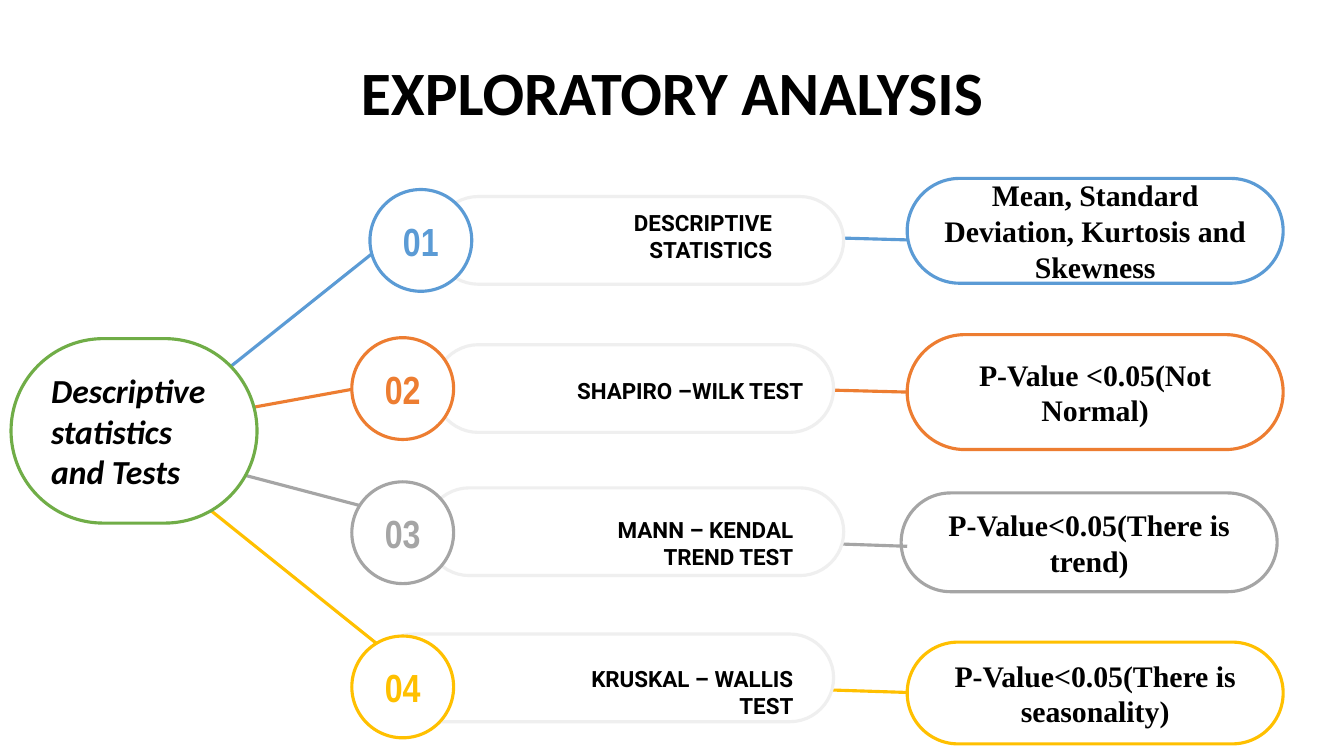
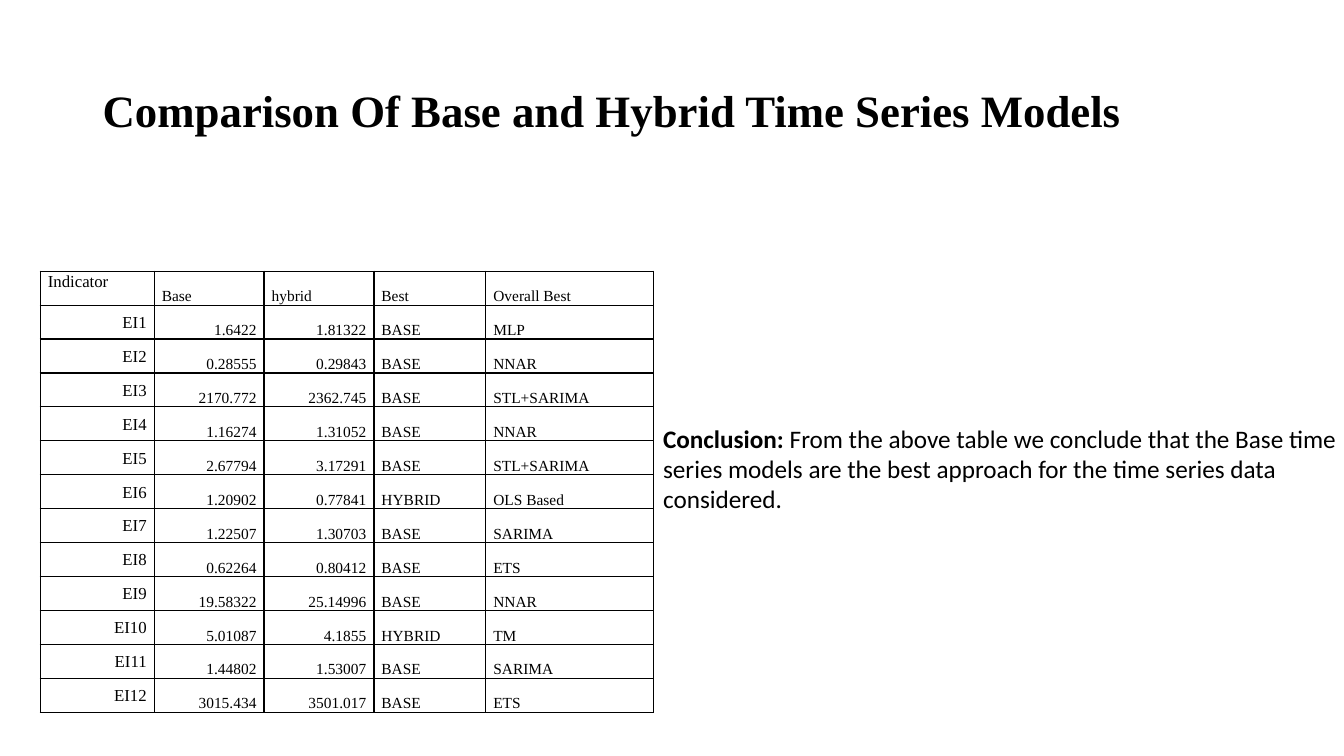
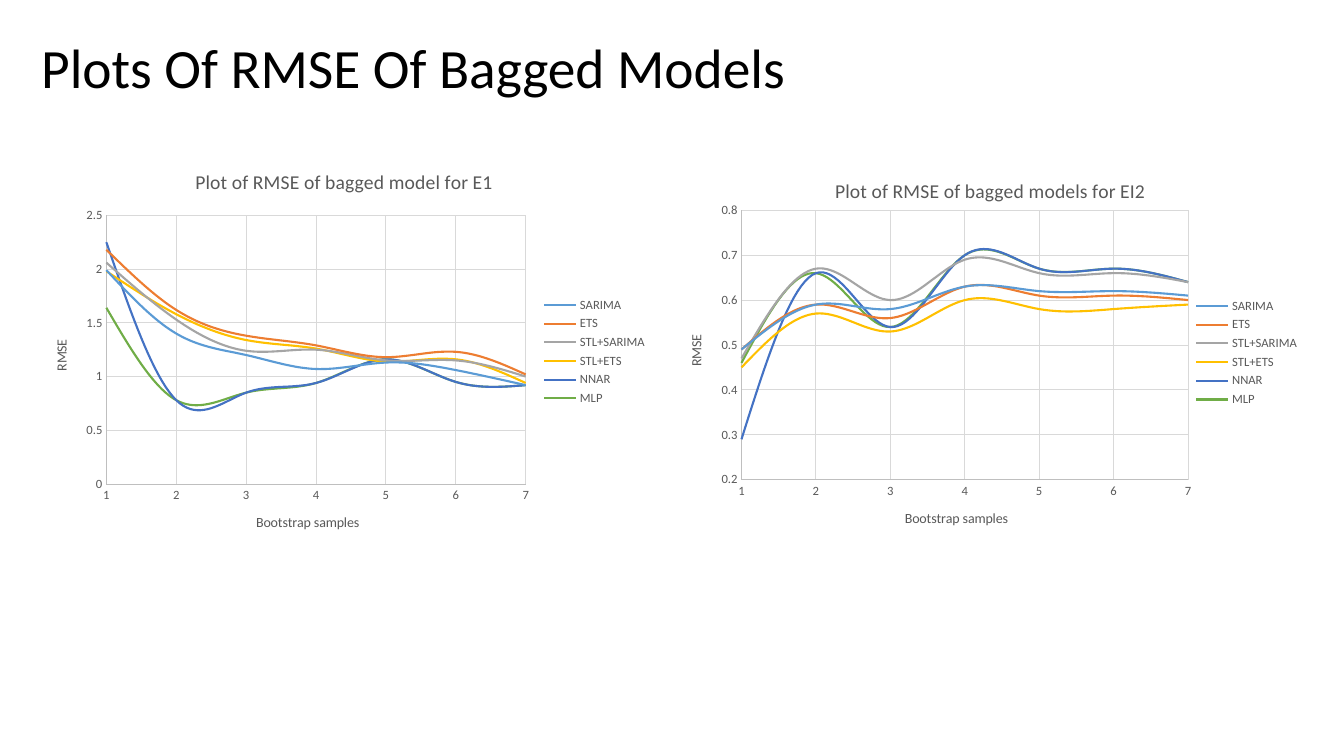
from dataclasses import dataclass
from typing import Any, NamedTuple

from lxml.etree import SubElement
from pptx import Presentation
from pptx.chart.data import XyChartData
from pptx.dml.color import RGBColor
from pptx.enum.chart import XL_CHART_TYPE, XL_LEGEND_POSITION, XL_TICK_MARK
from pptx.enum.shapes import MSO_CONNECTOR, MSO_SHAPE
from pptx.enum.text import MSO_ANCHOR, PP_ALIGN
from pptx.oxml.ns import qn
from pptx.util import Inches, Pt

CELL = 0.1
COLUMNS, ROWS = 133.33, 75
BLACK, WHITE, TRACK = "000000", "FFFFFF", "EFEFEF"
BLUE, ORANGE, GRAY, GOLD, NAVY, GREEN = "5B9BD5", "ED7D31", "A5A5A5", "FFC000", "4472C4", "70AD47"
CHART_TEXT, CHART_AXIS, CHART_GRID = "595959", "BFBFBF", "D9D9D9"
BODY, SERIF, LABEL, NUMBER = "Calibri", "Times New Roman", "Roboto", "Arial Narrow"
OUTLINE = 2.25


class Area(NamedTuple):
    left: float
    top: float
    width: float
    height: float


class Point(NamedTuple):
    column: float
    row: float


class Insets(NamedTuple):
    left: float = 1
    top: float = 0.5
    right: float = 1
    bottom: float = 0.5


class Style(NamedTuple):
    font: str
    size: float
    color: str = BLACK
    bold: bool = False
    italic: bool = False
    align: PP_ALIGN = PP_ALIGN.LEFT
    anchor: MSO_ANCHOR = MSO_ANCHOR.MIDDLE
    spacing: float = 1.0
    insets: Insets = Insets()


EVEN = Insets(1.3, 1.3, 1.3, 1.3)
RESULT_STYLE = Style(SERIF, 21.3, bold=True, align=PP_ALIGN.CENTER, insets=EVEN)
LABEL_STYLE = Style(LABEL, 16, bold=True, align=PP_ALIGN.RIGHT, insets=Insets(8, 1.3, 2.7, 1.3))
HUB_STYLE = Style(BODY, 24, bold=True, italic=True, insets=EVEN)


@dataclass
class Test:
    color: str
    label: str
    result: str
    result_area: Area
    link: tuple[Point, Point]
    track: Area
    label_area: Area
    branch: tuple[Point, Point]
    circle: Point


@dataclass
class Plot:
    title: str
    area: Area
    layout: tuple[float, float, float, float]
    low: float
    high: float
    step: float
    values: list[list[float]]


TESTS = [
    Test(BLUE, "DESCRIPTIVE STATISTICS", "Mean, Standard Deviation, Kurtosis and Skewness",
         Area(90, 17.7, 37.3, 10.4), (Point(79.3, 23.5), Point(90, 23.8)),
         Area(43.1, 19.5, 40.6, 8.7), Area(49.2, 20.6, 30.1, 5.6),
         (Point(16.7, 41.3), Point(41, 21.9)), Point(36.7, 18.8)),
    Test(ORANGE, "SHAPIRO –WILK TEST", "P-Value <0.05(Not Normal)",
         Area(90, 33.2, 37.3, 11.4), (Point(82.3, 38.7), Point(90, 38.9)),
         Area(43.1, 34.2, 39.6, 8.7), Area(48.2, 35.7, 34.2, 6),
         (Point(22.4, 40.9), Point(44.4, 36.9)), Point(34.9, 33.5)),
    Test(GRAY, "MANN – KENDAL TREND TEST", "P-Value<0.05(There is trend)",
         Area(89.4, 48.9, 37.3, 9.8), (Point(81.3, 53.9), Point(90, 54.2)),
         Area(42.2, 48.4, 41.5, 8.7), Area(47.2, 50.9, 34.2, 6),
         (Point(18.4, 45.6), Point(41.2, 51.6)), Point(34.9, 47.8)),
    Test(GOLD, "KRUSKAL – WALLIS TEST", "P-Value<0.05(There is seasonality)",
         Area(90, 63.7, 37.3, 10.1), (Point(80.8, 68.4), Point(90, 68.7)),
         Area(36.7, 62.9, 46, 8.7), Area(47.2, 65.6, 34.2, 6.1),
         (Point(14, 45.1), Point(39.3, 65.4)), Point(34.9, 63.1)),
]
CIRCLE_SIZE = 10.1

HEADINGS = ("Indicator", "Base", "hybrid", "Best", "Overall Best")
COLUMN_WIDTHS = (11.3, 10.9, 10.9, 11.1, 16.6)
MODELS = [
    ("1.6422", "1.81322", "BASE", "MLP"),
    ("0.28555", "0.29843", "BASE", "NNAR"),
    ("2170.772", "2362.745", "BASE", "STL+SARIMA"),
    ("1.16274", "1.31052", "BASE", "NNAR"),
    ("2.67794", "3.17291", "BASE", "STL+SARIMA"),
    ("1.20902", "0.77841", "HYBRID", "OLS Based"),
    ("1.22507", "1.30703", "BASE", "SARIMA"),
    ("0.62264", "0.80412", "BASE", "ETS"),
    ("19.58322", "25.14996", "BASE", "NNAR"),
    ("5.01087", "4.1855", "HYBRID", "TM"),
    ("1.44802", "1.53007", "BASE", "SARIMA"),
    ("3015.434", "3501.017", "BASE", "ETS"),
]

SERIES = {"SARIMA": BLUE, "ETS": ORANGE, "STL+SARIMA": GRAY, "STL+ETS": GOLD, "NNAR": NAVY, "MLP": GREEN}
PLOTS = [
    Plot("Plot of RMSE of bagged model for E1", Area(3.1, 15, 62.1, 39.8),
         (0.12, 0.16, 0.67, 0.67), 0, 2.5, 0.5,
         [[1.99, 1.4, 1.2, 1.07, 1.13, 1.06, 0.92],
          [2.18, 1.62, 1.38, 1.29, 1.18, 1.23, 1.02],
          [2.06, 1.53, 1.24, 1.25, 1.15, 1.15, 1],
          [1.98, 1.58, 1.34, 1.26, 1.14, 1.16, 0.94],
          [2.25, 0.78, 0.85, 0.94, 1.16, 0.95, 0.92],
          [1.64, 0.78, 0.85, 0.94, 1.16, 0.95, 0.92]]),
    Plot("Plot of RMSE of bagged models for EI2", Area(66.6, 15.9, 63.3, 38.2),
         (0.11, 0.13, 0.7, 0.7), 0.2, 0.8, 0.1,
         [[0.49, 0.59, 0.58, 0.63, 0.62, 0.62, 0.61],
          [0.49, 0.59, 0.56, 0.63, 0.61, 0.61, 0.6],
          [0.47, 0.67, 0.6, 0.69, 0.66, 0.66, 0.64],
          [0.45, 0.57, 0.53, 0.6, 0.58, 0.58, 0.59],
          [0.29, 0.66, 0.54, 0.7, 0.67, 0.67, 0.64],
          [0.46, 0.66, 0.54, 0.7, 0.67, 0.67, 0.64]]),
]


def grid(*cells: float) -> list[int]:
    return [Inches(cell * CELL) for cell in cells]


def hex_color(value: str) -> RGBColor:
    return RGBColor.from_string(value)


def assign(target: Any, values: dict[str, Any]) -> None:
    for name, value in values.items():
        setattr(target, name, value)


def format_font(font: Any, style: Style) -> None:
    assign(font, {"name": style.font, "size": Pt(style.size), "bold": style.bold, "italic": style.italic})
    font.color.rgb = hex_color(style.color)


def format_line(line: Any, color: str, width: float) -> None:
    line.color.rgb = hex_color(color)
    line.width = Pt(width)


def write(frame: Any, style: Style, *spans: tuple[str, bool]) -> None:
    para = frame.paragraphs[0]
    assign(para, {"alignment": style.align, "line_spacing": style.spacing})
    for text, bold in spans:
        span = para.add_run()
        span.text = text
        format_font(span.font, style._replace(bold=bold))


def fill_frame(frame: Any, style: Style, *spans: tuple[str, bool]) -> None:
    sides = ("margin_left", "margin_top", "margin_right", "margin_bottom")
    assign(frame, {"word_wrap": True, "vertical_anchor": style.anchor, **dict(zip(sides, grid(*style.insets)))})
    write(frame, style, *spans)


def add_text(page: Any, area: Area, style: Style, *spans: tuple[str, bool]) -> None:
    fill_frame(page.shapes.add_textbox(*grid(*area)).text_frame, style, *spans)


def add_title(page: Any, area: Area, text: str, style: Style) -> None:
    add_text(page, area, style._replace(spacing=0.9), (text, style.bold))


def add_outline(page: Any, area: Area, color: str, text: str = "", style: Style = RESULT_STYLE,
                preset: MSO_SHAPE = MSO_SHAPE.ROUNDED_RECTANGLE) -> None:
    box = page.shapes.add_shape(preset, *grid(*area))
    box.shadow.inherit = False
    box.fill.solid()
    box.fill.fore_color.rgb = hex_color(WHITE)
    format_line(box.line, color, OUTLINE)
    if preset == MSO_SHAPE.ROUNDED_RECTANGLE:
        box.adjustments[0] = 0.5
    if text:
        fill_frame(box.text_frame, style, (text, style.bold))


def add_line(page: Any, ends: tuple[Point, Point], color: str) -> None:
    start, end = ends
    line = page.shapes.add_connector(MSO_CONNECTOR.STRAIGHT, *grid(*start, *end))
    format_line(line.line, color, OUTLINE)
    SubElement(line.element.spPr, qn("a:effectLst"))


def add_borders(cell: Any) -> None:
    properties = cell._tc.get_or_add_tcPr()
    for position, side in enumerate(("a:lnL", "a:lnR", "a:lnT", "a:lnB")):
        border = SubElement(properties, qn(side), w=str(Pt(1)))
        SubElement(SubElement(border, qn("a:solidFill")), qn("a:srgbClr"), val=BLACK)
        properties.insert(position, border)


def add_model_table(page: Any, left: float, top: float, row_height: float) -> None:
    rows = [HEADINGS] + [(f"EI{number}", *model) for number, model in enumerate(MODELS, 1)]
    area = Area(left, top, sum(COLUMN_WIDTHS), row_height * len(rows))
    table = page.shapes.add_table(len(rows), len(HEADINGS), *grid(*area)).table
    assign(table, {"first_row": False, "horz_banding": False})
    for column, width in zip(table.columns, grid(*COLUMN_WIDTHS)):
        column.width = width
    for row_index, row in enumerate(rows):
        for column_index, text in enumerate(row):
            header, indicator = row_index == 0, column_index == 0
            style = Style(
                SERIF, 12 if indicator else 11, spacing=1.07,
                align=PP_ALIGN.RIGHT if not header and column_index < 3 else PP_ALIGN.LEFT)
            anchor = MSO_ANCHOR.BOTTOM
            if indicator:
                anchor = MSO_ANCHOR.TOP if header else MSO_ANCHOR.MIDDLE
            cell = table.cell(row_index, column_index)
            side, edge = grid(0.75, 0)
            assign(cell, {"vertical_anchor": anchor, "margin_left": side, "margin_right": side,
                          "margin_top": edge, "margin_bottom": edge})
            write(cell.text_frame, style, (text, False))
            cell.fill.background()
            add_borders(cell)


def format_axis(axis: Any, title: str, low: float, high: float, step: float) -> None:
    assign(axis, {"minimum_scale": low, "maximum_scale": high, "major_unit": step,
                  "has_major_gridlines": True, "has_minor_gridlines": False,
                  "major_tick_mark": XL_TICK_MARK.NONE, "minor_tick_mark": XL_TICK_MARK.NONE})
    assign(axis.tick_labels, {"number_format": "General", "number_format_is_linked": False})
    format_font(axis.tick_labels.font, Style(BODY, 9, CHART_TEXT))
    format_line(axis.format.line, CHART_AXIS, 0.75)
    format_line(axis.major_gridlines.format.line, CHART_GRID, 0.75)
    write(axis.axis_title.text_frame, Style(BODY, 10, CHART_TEXT, align=PP_ALIGN.CENTER), (title, False))


def place_plot(chart: Any, layout: tuple[float, float, float, float]) -> None:
    area = chart.element.find(".//" + qn("c:plotArea"))
    for old in area.findall(qn("c:layout")):
        area.remove(old)
    holder = SubElement(area, qn("c:layout"))
    area.insert(0, holder)
    manual = SubElement(holder, qn("c:manualLayout"))
    settings = {"layoutTarget": "inner", "xMode": "edge", "yMode": "edge", **dict(zip("xywh", layout))}
    for name, value in settings.items():
        SubElement(manual, qn("c:" + name), val=str(value))


def add_plot(page: Any, plot: Plot) -> None:
    data = XyChartData()
    for name, values in zip(SERIES, plot.values):
        series = data.add_series(name)
        for sample, value in enumerate(values, 1):
            series.add_data_point(sample, value)
    chart = page.shapes.add_chart(XL_CHART_TYPE.XY_SCATTER_SMOOTH_NO_MARKERS, *grid(*plot.area), data).chart
    format_font(chart.font, Style(BODY, 10))
    assign(chart, {"has_title": True, "has_legend": True})
    write(chart.chart_title.text_frame, Style(BODY, 14, CHART_TEXT, align=PP_ALIGN.CENTER), (plot.title, False))
    assign(chart.legend, {"position": XL_LEGEND_POSITION.RIGHT, "include_in_layout": False})
    format_font(chart.legend.font, Style(BODY, 9, CHART_TEXT))
    format_axis(chart.category_axis, "Bootstrap samples", 1, 7, 1)
    format_axis(chart.value_axis, "RMSE", plot.low, plot.high, plot.step)
    turned = chart.value_axis.axis_title.element.find(".//" + qn("a:bodyPr"))
    assign_turn = {"rot": "-5400000", "vert": "horz"}
    for name, value in assign_turn.items():
        turned.set(name, value)
    chart.plots[0].vary_by_categories = False
    for series, color in zip(chart.plots[0].series, SERIES.values()):
        format_line(series.format.line, color, 1.5)
    for smooth in chart.element.iter(qn("c:smooth")):
        smooth.set("val", "1")
    place_plot(chart, plot.layout)


def draw_analysis(page: Any) -> None:
    add_title(page, Area(6.7, 6, 120, 7), "EXPLORATORY ANALYSIS",
              Style(BODY, 44, bold=True, align=PP_ALIGN.CENTER, insets=EVEN))
    for test in TESTS:
        add_outline(page, test.result_area, test.color, test.result)
        add_line(page, test.link, test.color)
    for test in reversed(TESTS):
        add_outline(page, test.track, TRACK)
    for number, test in enumerate(TESTS, 1):
        add_text(page, test.label_area, LABEL_STYLE, (test.label, True))
        add_line(page, test.branch, test.color)
        number_style = Style(NUMBER, 28, test.color, bold=True, align=PP_ALIGN.CENTER,
                             insets=Insets(0, 1.3, 0, 1.3))
        add_outline(page, Area(*test.circle, CIRCLE_SIZE, CIRCLE_SIZE), test.color,
                    f"{number:02}", number_style, MSO_SHAPE.OVAL)
    add_outline(page, Area(1.1, 33.6, 24.4, 18.3), GREEN, "Descriptive statistics and Tests", HUB_STYLE)


def draw_comparison(page: Any) -> None:
    add_title(page, Area(9.2, 4, 115, 14.5), "Comparison Of Base and Hybrid Time Series Models",
              Style(SERIF, 32, bold=True))
    add_model_table(page, 4, 26.9, 3.37)
    left = 64.8
    add_text(page, Area(left, 41.5, COLUMNS - left, 13.1),
             Style(BODY, 18, anchor=MSO_ANCHOR.TOP, insets=Insets(right=0)),
             ("Conclusion: ", True),
             ("From the above table we conclude that the Base time series models are the best approach "
              "for the time series data considered.", False))


def draw_plots(page: Any) -> None:
    add_title(page, Area(3.1, 3.4, 76.9, 7.2), "Plots Of RMSE Of Bagged Models", Style(BODY, 39.6))
    for plot in PLOTS:
        add_plot(page, plot)


def main() -> None:
    deck = Presentation()
    deck.slide_width, deck.slide_height = grid(COLUMNS, ROWS)
    for draw in (draw_analysis, draw_comparison, draw_plots):
        draw(deck.slides.add_slide(deck.slide_layouts[6]))
    deck.save("out.pptx")


if __name__ == "__main__":
    main()
